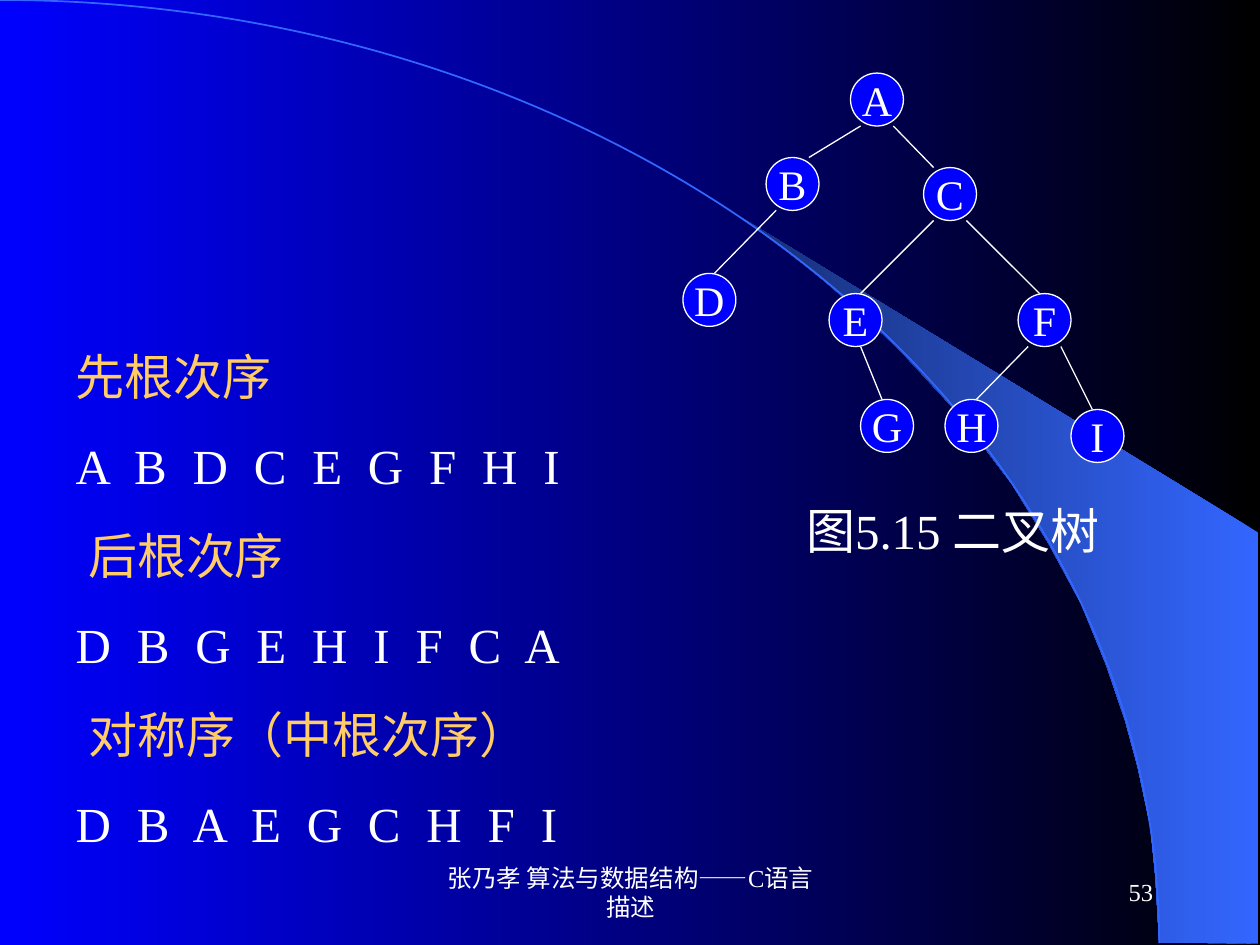
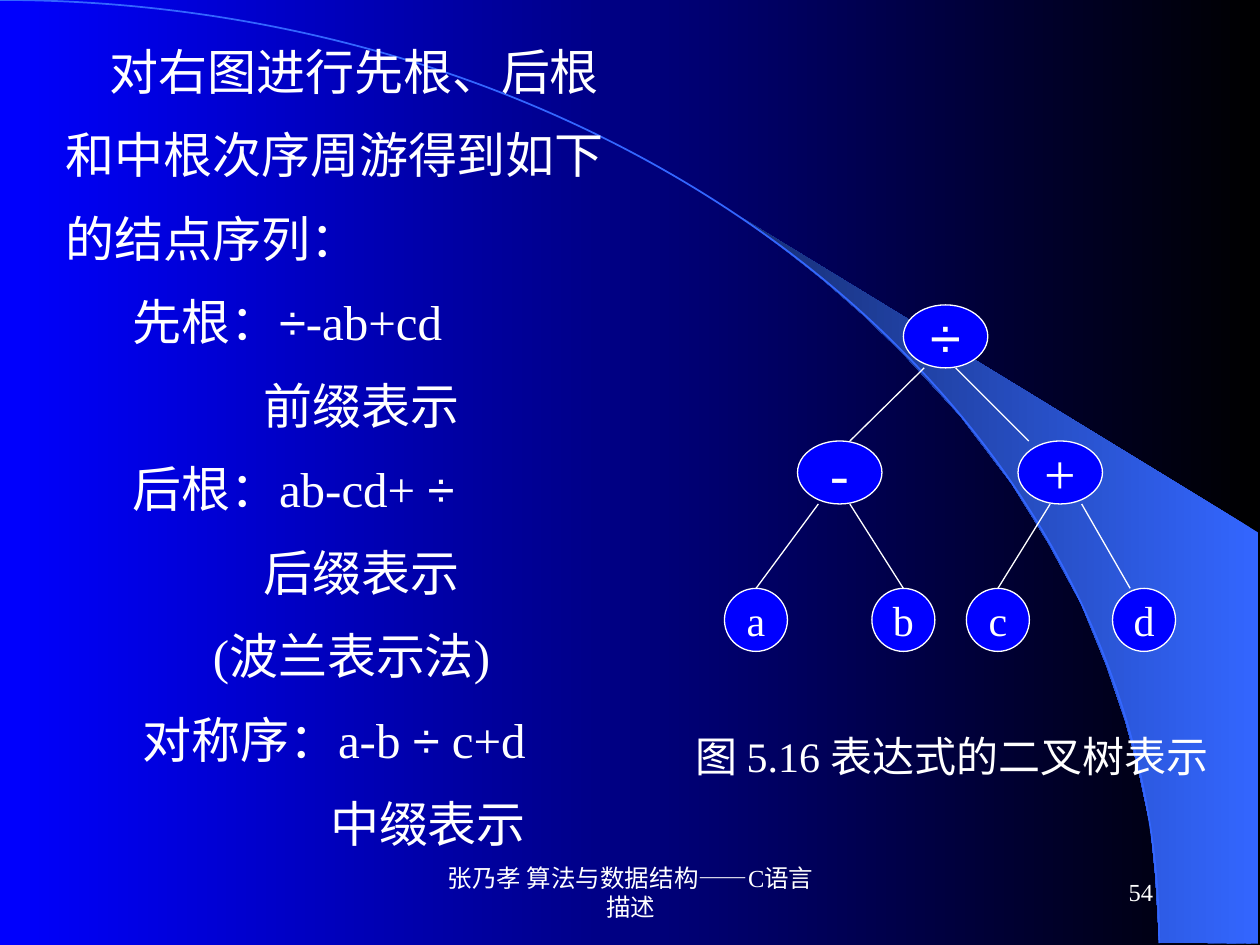
from dataclasses import dataclass
from itertools import groupby

from lxml.etree import SubElement
from pptx import Presentation
from pptx.dml.color import RGBColor as Rgb
from pptx.dml.fill import FillFormat
from pptx.enum.shapes import MSO_CONNECTOR as Connector
from pptx.enum.shapes import MSO_SHAPE as Preset
from pptx.enum.text import MSO_ANCHOR as Anchor
from pptx.enum.text import MSO_AUTO_SIZE as AutoSize
from pptx.enum.text import PP_ALIGN as Align
from pptx.oxml.ns import qn
from pptx.presentation import Presentation as Deck
from pptx.shapes.base import BaseShape
from pptx.slide import Slide
from pptx.text.text import TextFrame
from pptx.util import Inches, Pt


@dataclass(frozen=True)
class Theme:
    white: Rgb = Rgb(0xFF, 0xFF, 0xFF)
    black: Rgb = Rgb(0x00, 0x00, 0x00)
    blue: Rgb = Rgb(0x00, 0x00, 0xFF)
    gold: Rgb = Rgb(0xFF, 0xCC, 0x66)
    arc: Rgb = Rgb(0x33, 0x66, 0xFF)
    shade: Rgb = Rgb(0x17, 0x2F, 0x75)
    font: str = "Times New Roman"
    symbol_font: str = "Arial"
    body: int = 28
    label: int = 24
    operator: int = 32
    footer: int = 14
    hairline: float = 0.75
    arc_line: float = 1
    body_gap: float = 17.5
    label_gap: float = 15


THEME = Theme()
SYMBOL = "÷"
FIRST_NUMBER = 53
FOOTER = "张乃孝 算法与数据结构——C语言描述"


@dataclass(frozen=True)
class Area:
    left: float
    top: float
    width: float
    height: float

    def lengths(self) -> tuple[int, ...]:
        return tuple(map(Inches, (self.left, self.top, self.width, self.height)))


@dataclass(frozen=True)
class Line:
    text: str
    indent: float = 0
    color: Rgb = THEME.white
    tracking: int = 0


@dataclass(frozen=True)
class TextStyle:
    size: int
    align: Align = Align.LEFT
    before: float = 0
    spacing: float = 1.0


@dataclass(frozen=True)
class Node:
    label: str
    left: float
    top: float
    parent: str = ""
    leave: float = 0
    arrive: float = 0
    width: float = 0.42
    height: float = 0.42
    size: int = THEME.label

    @property
    def center(self) -> float:
        return self.left + self.width / 2


@dataclass(frozen=True)
class TreePage:
    body: Area
    lines: list[Line]
    spacing: float
    nodes: list[Node]
    caption: Line
    caption_area: Area
    caption_style: TextStyle


def operator(label: str, left: float, top: float, parent: str = "",
             leave: float = 0, arrive: float = 0) -> Node:
    return Node(label, left, top, parent, leave, arrive, 0.67, 0.5, THEME.operator)


def operand(label: str, left: float, parent: str, leave: float, arrive: float = 0) -> Node:
    return Node(label, left, 4.67, parent, leave, arrive, 0.5, 0.5)


def heading(text: str, indent: float = 0) -> Line:
    return Line(text, indent, THEME.gold)


def sequence(letters: str) -> Line:
    return Line(" ".join(letters), tracking=390)


TRAVERSALS = TreePage(
    body=Area(0.5, 2.7, 5, 4.12),
    lines=[
        heading("先根次序"), sequence("ABDCEGFHI"),
        heading("后根次序", 0.1), sequence("DBGEHIFCA"),
        heading("对称序（中根次序）", 0.1), sequence("DBAEGCHFI"),
    ],
    spacing=1.0,
    nodes=[
        Node("A", 6.75, 0.58),
        Node("B", 6.08, 1.25, "A", -0.13, 0.13),
        Node("D", 5.42, 2.17, "B", -0.13, 0.04),
        Node("C", 7.33, 1.33, "A", 0.13, -0.13),
        Node("E", 6.58, 2.33, "C", -0.13, 0.04),
        Node("F", 8.08, 2.33, "C", 0.13, -0.04),
        Node("I", 8.5, 3.25, "F", 0.13, -0.04),
        Node("H", 7.5, 3.17, "F", -0.13, 0.04),
        Node("G", 6.83, 3.17, "E", 0.04, -0.04),
    ],
    caption=Line("图5.15 二叉树", 0.8),
    caption_area=Area(5.5, 3.92, 3.83, 1.04),
    caption_style=TextStyle(THEME.body, before=THEME.body_gap),
)

EXPRESSION = TreePage(
    body=Area(0.42, 0.33, 4.67, 6.5),
    lines=[
        Line("对右图进行先根、后根", 0.35),
        Line("和中根次序周游得到如下"),
        Line("的结点序列："),
        Line("先根：÷-ab+cd", 0.53),
        Line("前缀表示", 1.57),
        Line("后根：ab-cd+ ÷", 0.53),
        Line("后缀表示", 1.57),
        Line("(波兰表示法)", 1.17),
        Line("对称序：a-b ÷ c+d", 0.61),
        Line("中缀表示", 2.1),
    ],
    spacing=0.9,
    nodes=[
        operator("÷", 7.17, 2.42),
        operator("-", 6.33, 3.5, "÷", -0.17, 0.08),
        operator("+", 8.08, 3.5, "÷", 0.08, -0.25),
        operand("a", 5.75, "-", -0.17),
        operand("b", 6.92, "-", 0.08),
        operand("c", 7.67, "+", -0.08),
        operand("d", 8.83, "+", 0.17, -0.11),
    ],
    caption=Line("图 5.16 表达式的二叉树表示"),
    caption_area=Area(5.42, 5.75, 4.33, 0.9),
    caption_style=TextStyle(THEME.label, before=THEME.label_gap),
)

WEDGE = [
    (9.2, 7.48), (9.99, 7.49), (9.99, 4.23), (5.89, 1.73), (6.24, 1.99), (6.53, 2.22),
    (6.85, 2.5), (7.16, 2.8), (7.62, 3.3), (8.03, 3.84), (8.32, 4.31), (8.58, 4.79),
    (8.78, 5.28), (8.93, 5.72), (9.03, 6.09), (9.13, 6.56), (9.17, 6.96),
]


def set_gradient(fill: FillFormat, start: Rgb, end: Rgb) -> None:
    fill.gradient()
    fill.gradient_angle = 180
    for stop, color in zip(fill.gradient_stops, (start, end)):
        stop.color.rgb = color


def write_lines(frame: TextFrame, lines: list[Line], style: TextStyle) -> None:
    frame.word_wrap = True
    for index, line in enumerate(lines):
        para = frame.add_paragraph() if index else frame.paragraphs[0]
        para.alignment = style.align
        para.space_before = Pt(style.before)
        para.line_spacing = style.spacing
        properties = para._p.get_or_add_pPr()
        properties.set("marL", str(Inches(line.indent)))
        properties.set("indent", "0")
        SubElement(properties, qn("a:buNone"))
        for is_symbol, letters in groupby(line.text, lambda letter: letter == SYMBOL):
            span = para.add_run()
            span.text = "".join(letters)
            span.font.name = THEME.symbol_font if is_symbol else THEME.font
            span.font.size = Pt(style.size)
            span.font.color.rgb = line.color
            if line.tracking:
                span.font._element.set("spc", str(line.tracking))


def add_text(page: Slide, area: Area, line: Line, style: TextStyle,
             anchor: Anchor = Anchor.TOP) -> BaseShape:
    box = page.shapes.add_textbox(*area.lengths())
    box.text_frame.vertical_anchor = anchor
    write_lines(box.text_frame, [line], style)
    return box


def add_body(page: Slide, content: TreePage) -> None:
    title, body = page.placeholders
    title.element.getparent().remove(title.element)
    body.left, body.top, body.width, body.height = content.body.lengths()
    body.text_frame.auto_size = AutoSize.NONE
    write_lines(body.text_frame, content.lines,
                TextStyle(THEME.body, before=THEME.body_gap, spacing=content.spacing))


def add_node(page: Slide, node: Node) -> None:
    area = Area(node.left, node.top, node.width, node.height)
    circle = page.shapes.add_shape(Preset.OVAL, *area.lengths())
    circle.shadow.inherit = False
    circle.fill.solid()
    circle.fill.fore_color.rgb = THEME.blue
    circle.line.color.rgb = THEME.white
    circle.line.width = Pt(THEME.hairline)
    circle.text_frame.vertical_anchor = Anchor.MIDDLE
    write_lines(circle.text_frame, [Line(node.label)], TextStyle(node.size, Align.CENTER))
    circle.text_frame.word_wrap = False


def add_branch(page: Slide, parent: Node, child: Node) -> None:
    ends = (parent.center + child.leave, parent.top + parent.height,
            child.center + child.arrive, child.top)
    branch = page.shapes.add_connector(Connector.STRAIGHT, *map(Inches, ends))
    branch.line.color.rgb = THEME.white
    branch.line.width = Pt(THEME.hairline)
    SubElement(branch.element.spPr, qn("a:effectLst"))


def add_tree(page: Slide, nodes: list[Node]) -> None:
    by_label = {node.label: node for node in nodes}
    for node in nodes:
        add_node(page, node)
    for node in nodes:
        if node.parent:
            add_branch(page, by_label[node.parent], node)


def add_footer(page: Slide, number: int) -> None:
    footer = add_text(page, Area(3.42, 6.83, 3.17, 0.5), Line(FOOTER),
                      TextStyle(THEME.footer, Align.CENTER), Anchor.MIDDLE)
    footer.text_frame.margin_left = footer.text_frame.margin_right = Inches(0.12)
    counter = add_text(page, Area(7.17, 6.83, 2.08, 0.5), Line(str(number)),
                       TextStyle(THEME.footer, Align.RIGHT), Anchor.MIDDLE)
    field = counter.element.find(".//" + qn("a:r"))
    field.tag = qn("a:fld")
    field.set("id", "{5A1B2C3D-0000-4000-8000-000000000053}")
    field.set("type", "slidenum")


def decorate_master(deck: Deck, page: Slide) -> None:
    master = deck.slide_master
    set_gradient(master.background.fill, THEME.black, THEME.blue)
    corners = [(Inches(x), Inches(y)) for x, y in WEDGE]
    builder = page.shapes.build_freeform(*corners[0])
    builder.add_line_segments(corners[1:], close=True)
    wedge = builder.convert_to_shape()
    set_gradient(wedge.fill, THEME.arc, THEME.shade)
    wedge.line.fill.background()
    arc = page.shapes.add_shape(Preset.ARC, *Area(-9.2, 0, 18.4, 14.97).lengths())
    arc.fill.background()
    arc.line.color.rgb = THEME.arc
    arc.line.width = Pt(THEME.arc_line)
    for shape in (wedge, arc):
        shape.shadow.inherit = False
        master.shapes.element.append(shape.element)


def main() -> None:
    deck = Presentation()
    deck.slide_width, deck.slide_height = Inches(10), Inches(7.5)
    deck.element.set("firstSlideNum", str(FIRST_NUMBER))
    for number, content in enumerate((TRAVERSALS, EXPRESSION), FIRST_NUMBER):
        page = deck.slides.add_slide(deck.slide_layouts[1])
        if number == FIRST_NUMBER:
            decorate_master(deck, page)
        add_body(page, content)
        add_tree(page, content.nodes)
        add_text(page, content.caption_area, content.caption, content.caption_style)
        add_footer(page, number)
    deck.save("out.pptx")


if __name__ == "__main__":
    main()
